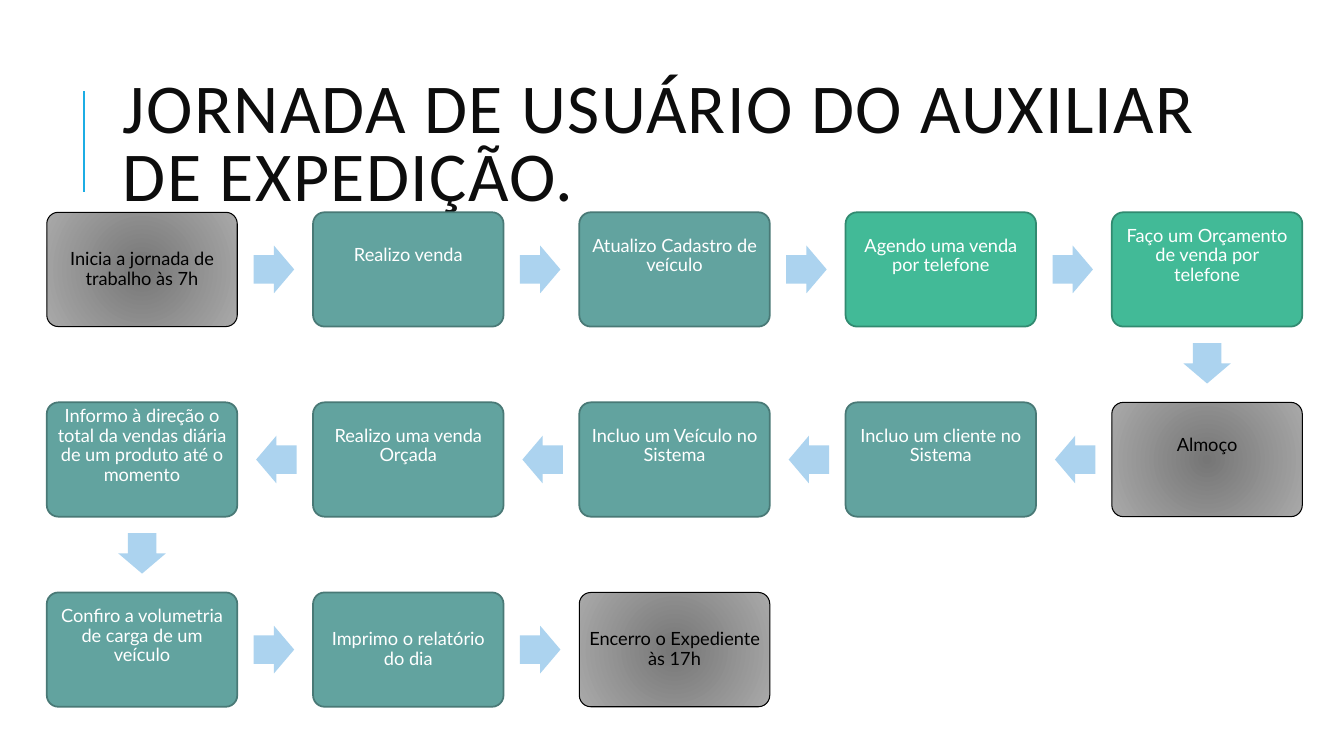
from lxml import etree
from pptx import Presentation
from pptx.dml.color import RGBColor
from pptx.enum import shapes, text
from pptx.oxml import parse_xml
from pptx.oxml.ns import nsdecls, qn
from pptx.util import Cm, Pt

TITLE = "JORNADA DE USUÁRIO DO AUXILIAR DE EXPEDIÇÃO."
# (text, kind, whether the text sits above the middle)
STEPS = [
    ("Inicia a jornada de trabalho às 7h", "pause", False),
    ("Realizo venda", "task", True),
    ("Atualizo Cadastro de veículo", "task", True),
    ("Agendo uma venda por telefone", "phone", True),
    ("Faço um Orçamento de venda por telefone", "phone", True),
    ("Almoço", "pause", True),
    ("Incluo um cliente no Sistema", "task", True),
    ("Incluo um Veículo no Sistema", "task", True),
    ("Realizo uma venda Orçada", "task", True),
    ("Informo à direção o total da vendas diária de um produto até o momento", "task", True),
    ("Confiro a volumetria de carga de um veículo", "task", True),
    ("Imprimo o relatório do dia", "task", False),
    ("Encerro o Expediente às 17h", "pause", False),
]

BLACK = RGBColor(0x00, 0x00, 0x00)
WHITE = RGBColor(0xFF, 0xFF, 0xFF)
INK = RGBColor(0x0D, 0x0D, 0x0D)
ACCENT = RGBColor(0x1C, 0xAD, 0xE4)
ARROW = RGBColor(0xAC, 0xD3, 0xEF)
DARK_GREY = RGBColor(0x76, 0x76, 0x76)
LIGHT_GREY = RGBColor(0xA9, 0xA9, 0xA9)
# kind: fill, line, line width, font colour
STYLES = {
    "pause": (None, BLACK, 0.75, BLACK),
    "task": (RGBColor(0x62, 0xA3, 0x9F), RGBColor(0x49, 0x79, 0x76), 1.25, WHITE),
    "phone": (RGBColor(0x42, 0xBA, 0x97), RGBColor(0x31, 0x8A, 0x70), 1.25, WHITE),
}

# Lengths in centimetres
COLUMNS = 5
LEFT, TOP = 1.18, 5.35
BOX_W, BOX_H = 4.8, 2.88
PITCH_X, PITCH_Y = 6.71, 4.79
ARROW_W, ARROW_H = 1.02, 1.2
ARROW_PULL = 0.03  # arrows sit slightly nearer the step they leave
INSET, RAISED_INSET = 0.13, 0.81


def centre(index):
    """Centre of a step; every second row runs right to left."""
    row, col = divmod(index, COLUMNS)
    if row % 2:
        col = COLUMNS - 1 - col
    return LEFT + col * PITCH_X + BOX_W / 2, TOP + row * PITCH_Y + BOX_H / 2


def add_centred(slide, kind, x, y, w, h):
    sp = slide.shapes.add_shape(kind, Cm(x - w / 2), Cm(y - h / 2), Cm(w), Cm(h))
    sp.shadow.inherit = False
    return sp


def fill_radial(sp):
    sp.fill.gradient()
    for stop, colour, position in zip(sp.fill.gradient_stops, (DARK_GREY, LIGHT_GREY), (0, 1)):
        stop.color.rgb = colour
        stop.position = position
    grad = sp._element.spPr.find(qn("a:gradFill"))
    grad.replace(grad.find(qn("a:lin")), parse_xml(
        f'<a:path {nsdecls("a")} path="circle">'
        '<a:fillToRect l="50000" t="50000" r="50000" b="50000"/></a:path>'))


def add_step(slide, index, label, kind, raised):
    fill, line, width, colour = STYLES[kind]
    sp = add_centred(slide, shapes.MSO_SHAPE.ROUNDED_RECTANGLE, *centre(index), BOX_W, BOX_H)
    sp.adjustments[0] = 0.1
    if fill is None:
        fill_radial(sp)
    else:
        sp.fill.solid()
        sp.fill.fore_color.rgb = fill
    sp.line.color.rgb = line
    sp.line.width = Pt(width)
    tf = sp.text_frame
    tf.word_wrap = True
    tf.vertical_anchor = text.MSO_ANCHOR.MIDDLE
    tf.margin_left = tf.margin_right = tf.margin_top = Cm(INSET)
    tf.margin_bottom = Cm(RAISED_INSET if raised else INSET)
    p = tf.paragraphs[0]
    p.text = label
    p.alignment = text.PP_ALIGN.CENTER
    p.line_spacing = 0.9
    p.font.name, p.font.size, p.font.color.rgb = "Lato", Pt(13), colour


def add_arrow(slide, index):
    """Arrow from a step to the next one."""
    (x, y), (next_x, next_y) = centre(index), centre(index + 1)
    if index % COLUMNS == COLUMNS - 1:
        y, rotation = (y + next_y) / 2 - ARROW_PULL, 90
    elif next_x > x:
        x, rotation = (x + next_x) / 2 - ARROW_PULL, 0
    else:
        x, rotation = (x + next_x) / 2 + ARROW_PULL, 180
    sp = add_centred(slide, shapes.MSO_SHAPE.RIGHT_ARROW, x, y, ARROW_W, ARROW_H)
    sp.adjustments[0], sp.adjustments[1] = 0.6, 0.5
    sp.rotation = rotation
    sp.fill.solid()
    sp.fill.fore_color.rgb = ARROW
    sp.line.fill.background()


def add_title(slide):
    bar = slide.shapes.add_connector(
        shapes.MSO_CONNECTOR.STRAIGHT, Cm(2.12), Cm(4.83), Cm(2.12), Cm(2.29))
    bar.line.color.rgb = ACCENT
    bar.line.width = Pt(1.5)
    etree.SubElement(bar._element.spPr, qn("a:effectLst"))

    title = slide.shapes.title
    title.left, title.top, title.width, title.height = Cm(2.84), Cm(1.63), Cm(29.54), Cm(4.17)
    tf = title.text_frame
    tf.word_wrap = True
    tf.auto_size = text.MSO_AUTO_SIZE.NONE
    tf.vertical_anchor = text.MSO_ANCHOR.MIDDLE
    p = tf.paragraphs[0]
    r = p.add_run()
    r.text = TITLE
    r.font.name, r.font.size, r.font.color.rgb = "Calibri", Pt(50), INK
    r._r.get_or_add_rPr().set("spc", "100")
    p.alignment = text.PP_ALIGN.LEFT
    p.line_spacing = 0.8


def main():
    prs = Presentation()
    prs.slide_width, prs.slide_height = Cm(33.87), Cm(19.05)
    slide = prs.slides.add_slide(prs.slide_layouts[5])
    add_title(slide)
    for index, step in enumerate(STEPS):
        add_step(slide, index, *step)
        if index < len(STEPS) - 1:
            add_arrow(slide, index)
    prs.save("out.pptx")


if __name__ == "__main__":
    main()
